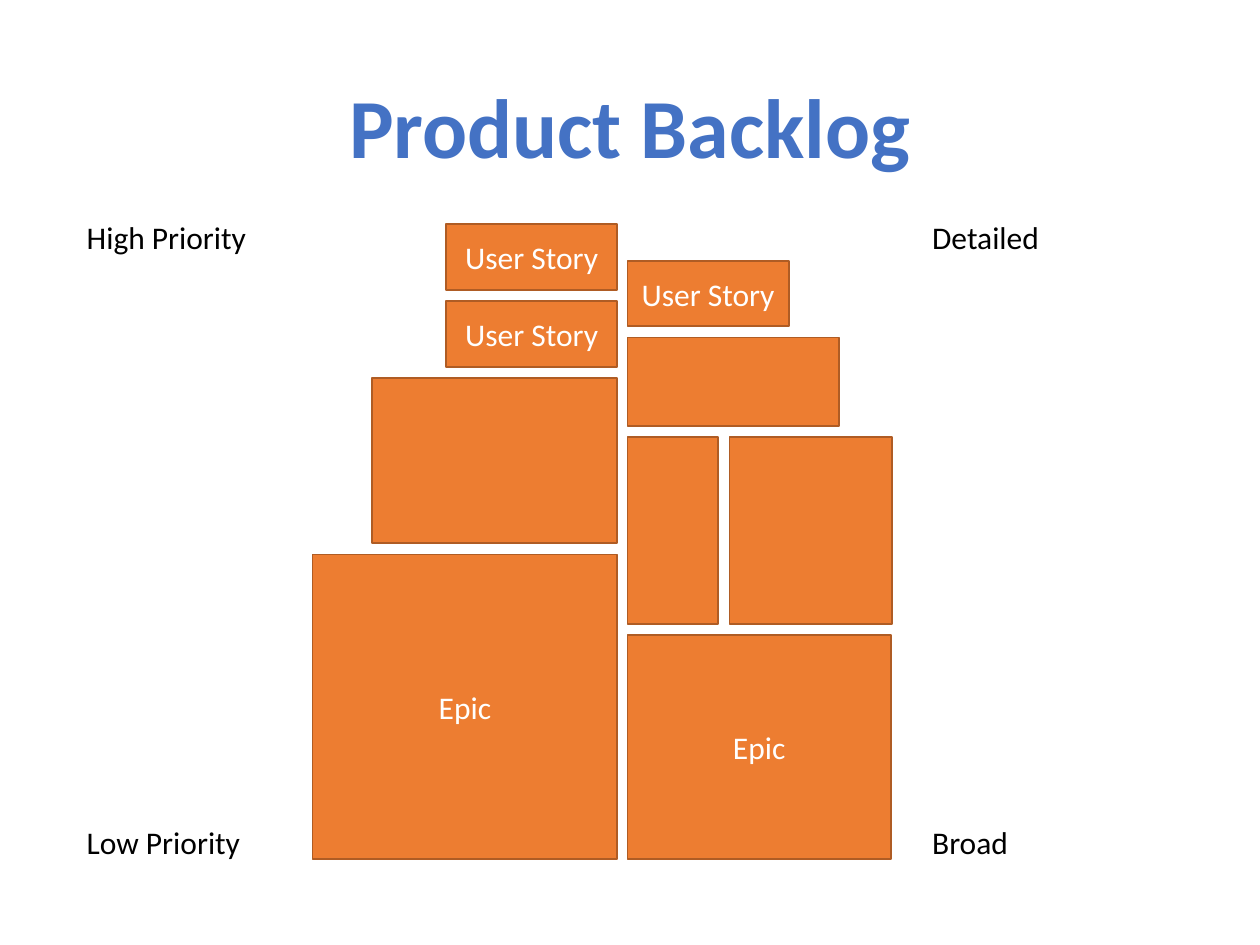
"""Build a product backlog slide: small detailed stories on top, broad epics below."""
from pptx import Presentation
from pptx import util as u
from pptx.dml.color import RGBColor
from pptx.enum import shapes, text

COLORS = {"title": "4472C4", "block": "ED7D31", "edge": "AF5C24",
          "block_text": "FFFFFF", "label": "000000"}
TITLE = "Product Backlog"
BOTTOM, GAP, LEFT_EDGE, RIGHT_EDGE = 6.82, 0.09, 4.9, 4.98

# Rows run from bottom to top: height, then (width, wording) for each block
LEFT_ROWS = [(2.42, [(2.42, "Epic")]),
             (1.31, [(1.95, "")]),
             (0.52, [(1.36, "User Story")]),
             (0.52, [(1.36, "User Story")])]
RIGHT_ROWS = [(1.78, [(2.09, "Epic")]),
              (1.48, [(0.72, ""), (1.29, "")]),
              (0.7, [(1.68, "")]),
              (0.52, [(1.28, "User Story")])]
SCALES = [(0.59, ("High Priority", "Low Priority")),
          (7.3, ("Detailed", "Broad"))]
TITLE_FONT = {"name": "Calibri", "size": u.Pt(48), "bold": True}
BODY_FONT = {"name": "Calibri", "size": u.Pt(18)}


def write(p, wording, color, font):
    r = p.add_run()
    r.text = wording
    for key, value in font.items():
        setattr(r.font, key, value)
    r.font.color.rgb = RGBColor.from_string(COLORS[color])


def add_block(s, x, y, width, height, wording):
    sp = s.shapes.add_shape(shapes.MSO_SHAPE.RECTANGLE,
                            *map(u.Inches, (x, y, width, height)))
    sp.shadow.inherit = False
    sp.fill.solid()
    sp.fill.fore_color.rgb = RGBColor.from_string(COLORS["block"])
    sp.line.color.rgb = RGBColor.from_string(COLORS["edge"])
    sp.line.width = u.Pt(1)
    if wording:
        tf = sp.text_frame
        tf.word_wrap = True
        tf.vertical_anchor = text.MSO_ANCHOR.MIDDLE
        p = tf.paragraphs[0]
        p.alignment = text.PP_ALIGN.CENTER
        write(p, wording, "block_text", BODY_FONT)


def add_stack(s, rows, edge, align_right):
    y = BOTTOM
    for height, blocks in rows:
        y -= height
        row_width = sum(width for width, _ in blocks) + GAP * (len(blocks) - 1)
        x = edge - row_width if align_right else edge
        for width, wording in blocks:
            add_block(s, x, y, width, height, wording)
            x += width + GAP
        y -= GAP


def add_scale(s, x, ends):
    sp = s.shapes.add_textbox(*map(u.Inches, (x, 1.68, 1.47, 5.25)))
    tf = sp.text_frame
    tf.word_wrap = True
    first, last = tf.paragraphs[0], tf.add_paragraph()
    last.space_before = u.Inches(4.5)
    for p, wording in zip((first, last), ends):
        write(p, wording, "label", BODY_FONT)


def add_title(s):
    sp = s.shapes.title
    sp.left, sp.top, sp.width, sp.height = map(u.Inches, (0, 0, 10, 1.45))
    tf = sp.text_frame
    tf.auto_size = text.MSO_AUTO_SIZE.NONE
    tf.vertical_anchor = text.MSO_ANCHOR.BOTTOM
    p = tf.paragraphs[0]
    p.alignment = text.PP_ALIGN.CENTER
    p.line_spacing = 0.9
    write(p, TITLE, "title", TITLE_FONT)


def main():
    prs = Presentation()
    prs.slide_width, prs.slide_height = u.Inches(10), u.Inches(7.5)
    s = prs.slides.add_slide(prs.slide_layouts[5])
    add_title(s)
    add_stack(s, LEFT_ROWS, LEFT_EDGE, True)
    add_stack(s, RIGHT_ROWS, RIGHT_EDGE, False)
    for x, ends in SCALES:
        add_scale(s, x, ends)
    prs.save("out.pptx")


if __name__ == "__main__":
    main()
